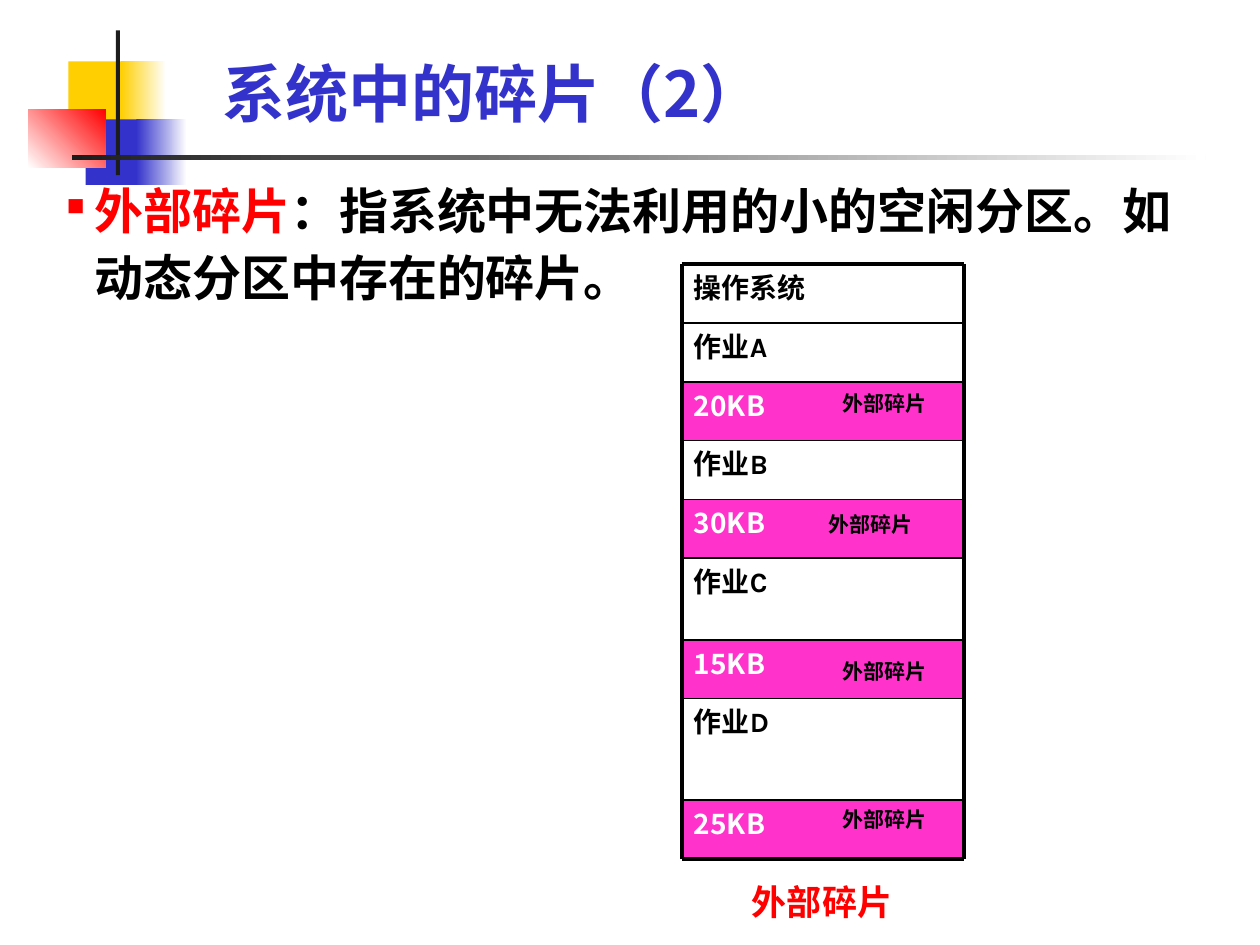
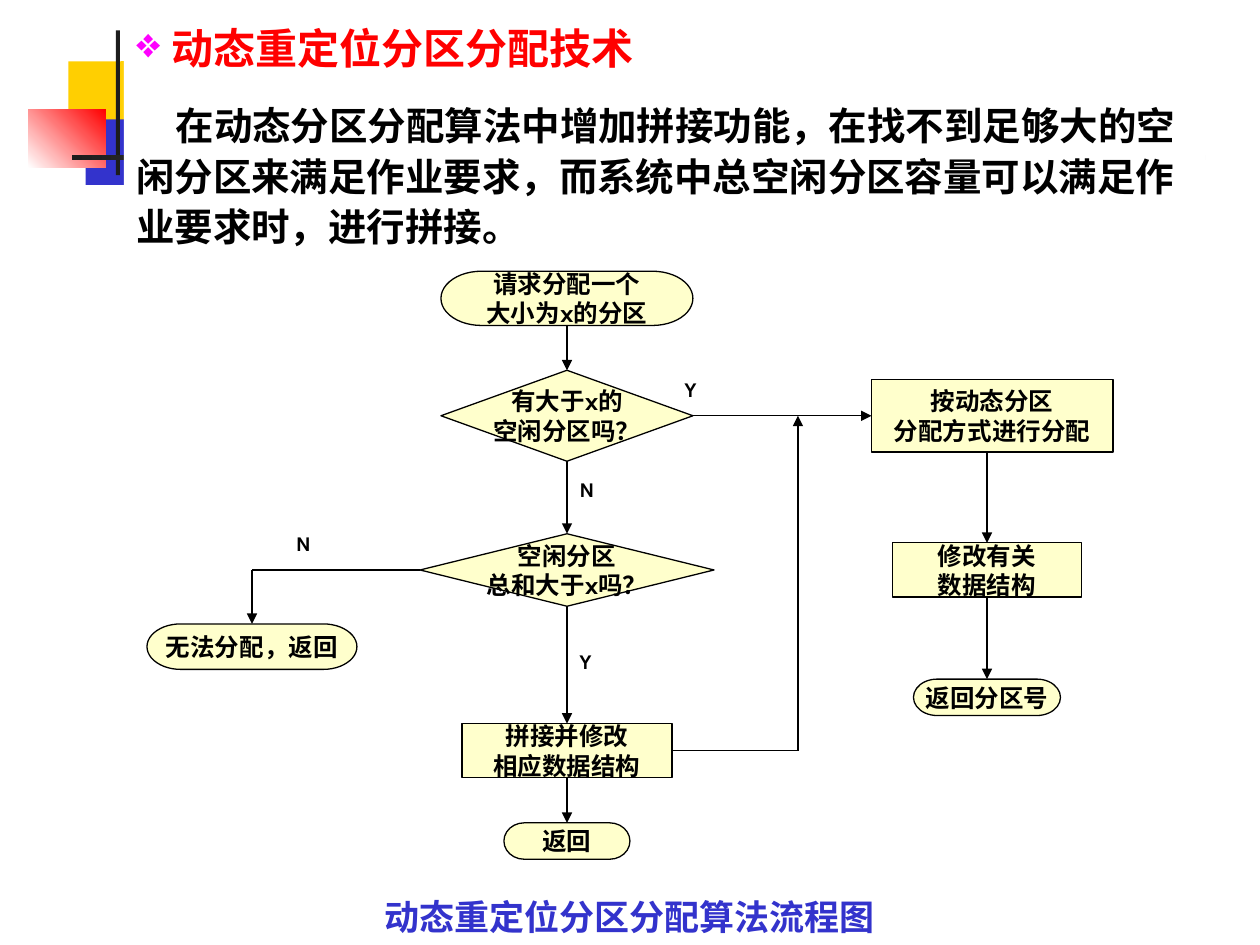
from lxml import etree
from pptx import Presentation
from pptx.dml.color import RGBColor
from pptx.enum import shapes, text
from pptx.oxml import ns
from pptx.util import Pt

THEME = {
    "blue": "3333CC", "red": "FF0000", "yellow": "FFCF01", "ink": "1C1C1C",
    "black": "000000", "white": "FFFFFF", "pink": "FF33CC", "magenta": "FF00FF",
    "cream": "FFFFCC",
    "latin": "Karla", "cjk": "Noto Sans CJK SC",
    "title": 36, "body": 28, "heading": 24, "para": 22, "caption": 20,
    "row": 16, "node": 14, "label": 12,
    "frame": 2.25, "rule": 1, "flow": 0.75,
}

BANDS = {
    "yellow block": (39, 35, 34.5, 37.5, "yellow", None, 0),
    "yellow fade": (69, 35, 26, 37.5, "yellow", "white", 0),
    "blue block": (49, 68.2, 33, 37.5, "blue", None, 0),
    "blue fade": (78, 68.2, 28.8, 37.5, "blue", "white", 0),
    "red fade": (16.2, 62.4, 44.2, 33.4, "white", "red", 45),
    "upright": (66.2, 17.3, 2.4, 82.8, "ink", None, 0),
    "rule": (41, 88.8, 648, 2.4, "ink", "white", 0),
}

TITLE = "系统中的碎片（2）"
DEFINITION = [("外部碎片", "red"),
              ("：指系统中无法利用的小的空闲分区。如动态分区中存在的碎片。", "black")]
FRAGMENT = "外部碎片"
MEMORY = [
    ("操作系统", 33.6, None),
    ("作业A", 33.6, None),
    ("20KB", 33.6, (474.5, 219.6)),
    ("作业B", 33.6, None),
    ("30KB", 33.6, (466.5, 288.7)),
    ("作业C", 46.6, None),
    ("15KB", 33.6, (474.5, 373)),
    ("作业D", 58, None),
    ("25KB", 33.6, (474.5, 457.2)),
]
MEMORY_LEFT, MEMORY_TOP, MEMORY_WIDTH = 389.5, 151, 161.3

HEADING = "动态重定位分区分配技术"
EXPLANATION = ("在动态分区分配算法中增加拼接功能，在找不到足够大的空闲分区来满足作业要求，"
               "而系统中总空闲分区容量可以满足作业要求时，进行拼接。")
FLOW_CAPTION = "动态重定位分区分配算法流程图"
NODES = {
    "request": ("TERMINATOR", 324, 170.5, 144, 31, ["请求分配一个", "大小为x的分区"]),
    "fits": ("DECISION", 324, 237.6, 144, 52, ["有大于x的", "空闲分区吗？"]),
    "total": ("DECISION", 324, 325.7, 168, 41.4, ["空闲分区", "总和大于x吗？"]),
    "compact": ("PROCESS", 324, 429, 120, 31, ["拼接并修改", "相应数据结构"]),
    "done": ("TERMINATOR", 324, 480.6, 72, 20.8, ["返回"]),
    "allocate": ("PROCESS", 567, 237.6, 138, 41.4, ["按动态分区", "分配方式进行分配"]),
    "update": ("PROCESS", 564, 325.7, 108, 31, ["修改有关", "数据结构"]),
    "number": ("TERMINATOR", 564, 398.5, 84, 20.8, ["返回分区号"]),
    "fail": ("TERMINATOR", 144, 369.5, 120, 26, ["无法分配，返回"]),
}
DOWNWARD = [("request", "fits"), ("fits", "total"), ("total", "compact"),
            ("compact", "done"), ("allocate", "update"), ("update", "number")]
RETURN_X = 456
ANSWERS = [("Y", 384, 211.7), ("Y", 324, 367.2), ("N", 324, 268.6), ("N", 162, 299.5)]


def rgb(name):
    return RGBColor.from_string(THEME[name])


def assign(obj, values):
    for key, value in values.items():
        setattr(obj, key, value)


def add_run(p, words, size, color, latin="latin"):
    r = p.add_run()
    r.text = words
    assign(r.font, {"size": Pt(THEME[size]), "bold": True, "name": THEME[latin]})
    r.font.color.rgb = rgb(color)
    ea = etree.SubElement(r.font._element, ns.qn("a:ea"))
    ea.set("typeface", THEME["latin"])


def add_bullet(p, char, color, percent, indent):
    pPr = p._p.get_or_add_pPr()
    pPr.set("marL", str(Pt(indent)))
    pPr.set("indent", str(-Pt(indent)))
    clr = etree.SubElement(pPr, ns.qn("a:buClr"))
    etree.SubElement(clr, ns.qn("a:srgbClr")).set("val", THEME[color])
    etree.SubElement(pPr, ns.qn("a:buSzPct")).set("val", str(percent * 1000))
    etree.SubElement(pPr, ns.qn("a:buChar")).set("char", char)


def add_text(s, box, words="", size="label", color="black", latin="latin"):
    tf = s.shapes.add_textbox(*map(Pt, box)).text_frame
    tf.word_wrap = True
    if words:
        add_run(tf.paragraphs[0], words, size, color, latin)
    return tf


def add_block(s, box, color, fade=None, angle=0, kind="RECTANGLE"):
    sp = s.shapes.add_shape(getattr(shapes.MSO_SHAPE, kind), *map(Pt, box))
    sp.shadow.inherit = False
    sp.line.fill.background()
    if fade:
        sp.fill.gradient()
        sp.fill.gradient_angle = angle
        for stop, name in zip(sp.fill.gradient_stops, (color, fade)):
            stop.color.rgb = rgb(name)
    else:
        sp.fill.solid()
        sp.fill.fore_color.rgb = rgb(color)
    assign(sp.text_frame, {"word_wrap": True, "vertical_anchor": text.MSO_ANCHOR.TOP})
    sp.text_frame.paragraphs[0].alignment = text.PP_ALIGN.LEFT
    return sp


def add_line(s, x1, y1, x2, y2, width="flow", arrow=False):
    line = s.shapes.add_connector(shapes.MSO_CONNECTOR.STRAIGHT, *map(Pt, (x1, y1, x2, y2)))
    line.line.color.rgb = rgb("black")
    line.line.width = Pt(THEME[width])
    spPr = line._element.spPr
    etree.SubElement(spPr, ns.qn("a:effectLst"))
    if arrow:
        tail = etree.SubElement(spPr.find(ns.qn("a:ln")), ns.qn("a:tailEnd"))
        tail.set("type", "triangle")


def new_slide(prs, skip=()):
    s = prs.slides.add_slide(prs.slide_layouts[6])
    for name, (x, y, w, h, color, fade, angle) in BANDS.items():
        if name not in skip:
            add_block(s, (x, y, w, h), color, fade, angle)
    return s


def draw_memory(s):
    right = MEMORY_LEFT + MEMORY_WIDTH
    edges = [MEMORY_TOP]
    for words, height, fragment in MEMORY:
        box = (MEMORY_LEFT, edges[-1], MEMORY_WIDTH, height)
        if fragment:
            tf = add_block(s, box, "pink").text_frame
            add_run(tf.paragraphs[0], words, "row", "white", "cjk")
        else:
            add_text(s, box, words, "row")
        edges.append(edges[-1] + height)
    for y in edges:
        width = "frame" if y in (edges[0], edges[-1]) else "rule"
        add_line(s, MEMORY_LEFT, y, right, y, width)
    for x in (MEMORY_LEFT, right):
        add_line(s, x, edges[0], x, edges[-1], "frame")
    for words, height, fragment in MEMORY:
        if fragment:
            add_text(s, (*fragment, 84, 21.6), FRAGMENT)


def fragment_slide(prs):
    s = new_slide(prs)
    tf = add_text(s, (120.2, 37.4, 432.7, 36.7), TITLE, "title", "blue", "cjk")
    assign(tf, {"vertical_anchor": text.MSO_ANCHOR.BOTTOM, "margin_top": 0, "margin_bottom": 0})
    draw_memory(s)
    add_text(s, (422.6, 499.7, 113.8, 31.7), FRAGMENT, "caption", "red")
    p = add_text(s, (31, 94.3, 648, 85)).paragraphs[0]
    add_bullet(p, "■", "red", 50, 16)
    p.line_spacing = 1.15
    for words, color in DEFINITION:
        add_run(p, words, "body", color, "cjk")


def draw_node(s, kind, cx, cy, w, h, lines):
    sp = add_block(s, (cx - w / 2, cy - h / 2, w, h), "cream", kind="FLOWCHART_" + kind)
    sp.line.color.rgb = rgb("black")
    sp.line.width = Pt(THEME["flow"])
    tf = sp.text_frame
    assign(tf, {"word_wrap": False, "vertical_anchor": text.MSO_ANCHOR.MIDDLE})
    for i, words in enumerate(lines):
        p = tf.add_paragraph() if i else tf.paragraphs[0]
        p.alignment = text.PP_ALIGN.CENTER
        add_run(p, words, "node", "black")


def side(name, dx, dy):
    kind, cx, cy, w, h, lines = NODES[name]
    return cx + dx * w / 2, cy + dy * h / 2


def draw_flow(s):
    for node in NODES.values():
        draw_node(s, *node)
    for upper, lower in DOWNWARD:
        x, top = side(lower, 0, -1)
        add_line(s, x, side(upper, 0, 1)[1], x, top, arrow=True)
    yes = side("fits", 1, 0)
    add_line(s, *yes, *side("allocate", -1, 0), arrow=True)
    compact = side("compact", 1, 0)
    add_line(s, *compact, RETURN_X, compact[1])
    add_line(s, RETURN_X, compact[1], RETURN_X, yes[1], arrow=True)
    no, fail = side("total", -1, 0), side("fail", 0, -1)
    add_line(s, *no, fail[0], no[1])
    add_line(s, fail[0], no[1], *fail, arrow=True)
    for words, x, y in ANSWERS:
        add_text(s, (x, y, 30, 21.6), words)


def relocation_slide(prs):
    s = new_slide(prs, skip=("blue fade",))
    add_text(s, (212.4, 508.3, 300.2, 31.7), FLOW_CAPTION, "caption", "blue")
    draw_flow(s)
    tf = add_block(s, (70.8, 9.4, 617.8, 136.8), "white").text_frame
    p = tf.paragraphs[0]
    add_bullet(p, "❖", "magenta", 100, 20)
    add_run(p, HEADING, "heading", "red", "cjk")
    p = tf.add_paragraph()
    assign(p, {"line_spacing": 1.1, "space_before": Pt(13.8), "alignment": text.PP_ALIGN.LEFT})
    p._p.get_or_add_pPr().set("indent", str(Pt(22.5)))
    add_run(p, EXPLANATION, "para", "black", "cjk")


def main():
    prs = Presentation()
    prs.slide_width, prs.slide_height = Pt(720), Pt(540)
    fragment_slide(prs)
    relocation_slide(prs)
    prs.save("out.pptx")


if __name__ == "__main__":
    main()
